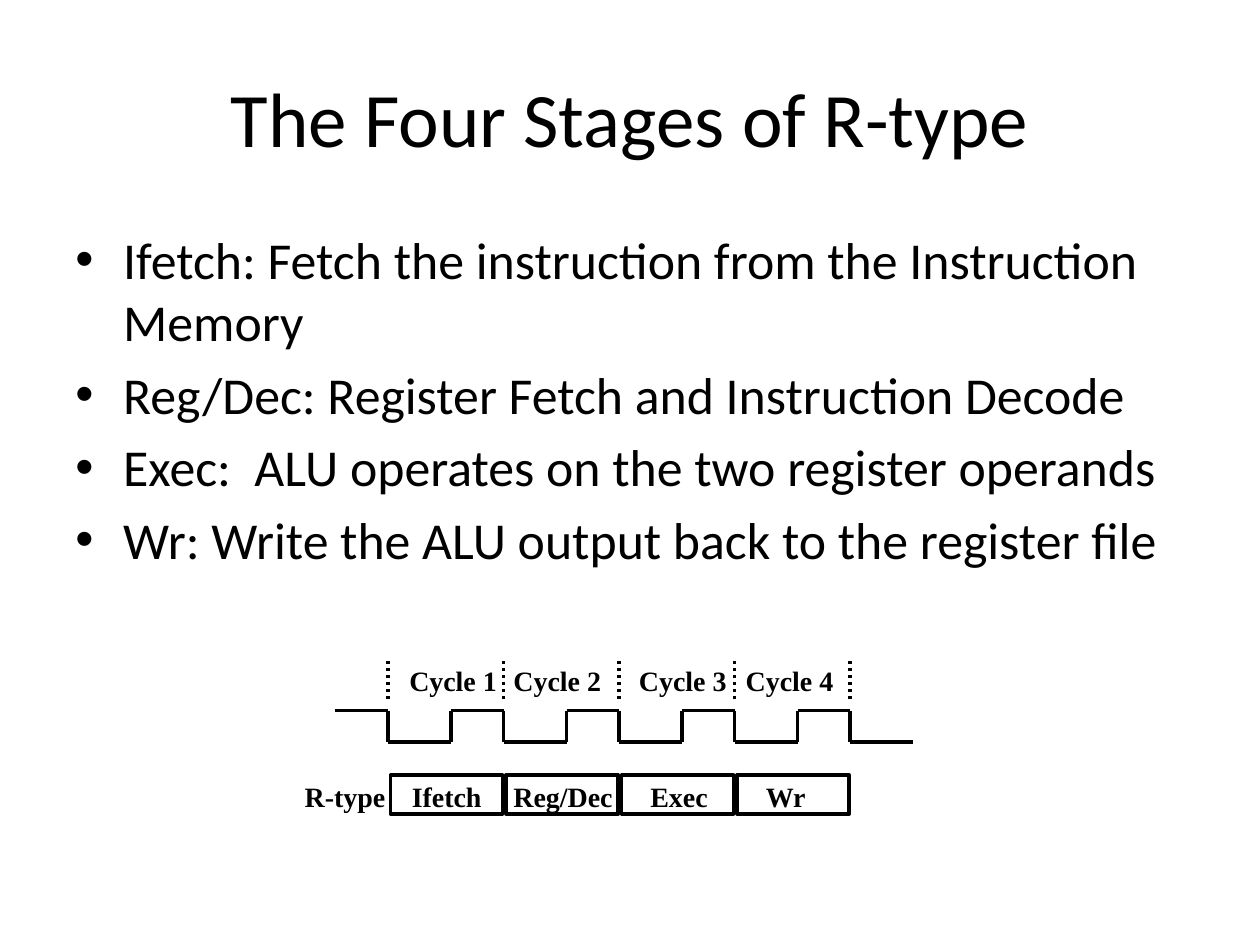
from lxml.etree import SubElement
from pptx import Presentation
from pptx.dml.color import RGBColor
from pptx.enum.dml import MSO_LINE
from pptx.enum.shapes import MSO_CONNECTOR, MSO_SHAPE
from pptx.enum.text import MSO_ANCHOR, MSO_AUTO_SIZE, PP_ALIGN
from pptx.oxml.ns import qn
from pptx.util import Inches, Pt

# Content
TITLE = "The Four Stages of R-type"
POINTS = [
    "Ifetch: Fetch the instruction from the Instruction Memory",
    "Reg/Dec: Register Fetch and Instruction Decode",
    "Exec:  ALU operates on the two register operands",
    "Wr: Write the ALU output back to the register file",
]
# Cycle label and its inset; stage name, its inset and its width
CYCLES = [
    ("Cycle 1", 0.07, "Ifetch", 0.09, 0.78),
    ("Cycle 2", -0.02, "Reg/Dec", -0.02, 1.02),
    ("Cycle 3", 0.06, "Exec", 0.15, 0.68),
    ("Cycle 4", -0.01, "Wr", 0.15, 0.55),
]
INK = "000000"

# Diagram grid: one column per clock cycle
LEFT, STEP, LOW_W, HIGH_W = 3.08, 11 / 12, 0.5, 0.42
TICK, TICK_END, HIGH, LOW = 5.22, 5.55, 5.64, 5.89
BOX_Y, NAME_Y, LABEL_H = 6.15, 6.14, 0.36

deck = Presentation()
deck.slide_width, deck.slide_height = Inches(10), Inches(7.5)
slide = deck.slides.add_slide(deck.slide_layouts[6])


def color(code):
    return RGBColor.from_string(code)


def add_text(items, x, y, w, h, size=16, font="Times New Roman", bold=True,
             align=PP_ALIGN.LEFT, anchor=MSO_ANCHOR.TOP, wrap=False,
             bullet=None, gap=0):
    box = slide.shapes.add_textbox(*map(Inches, (x, y, w, h)))
    frame = box.text_frame
    frame.word_wrap, frame.vertical_anchor = wrap, anchor
    if not wrap:
        frame.auto_size = MSO_AUTO_SIZE.SHAPE_TO_FIT_TEXT
    for i, item in enumerate(items):
        para = frame.paragraphs[0] if i == 0 else frame.add_paragraph()
        para.alignment = align
        para.space_before = Pt(gap if i else 0)
        run = para.add_run()
        run.text = item
        run.font.name, run.font.size, run.font.bold = font, Pt(size), bold
        run.font.color.rgb = color(INK)
        if bullet:
            props = para._p.get_or_add_pPr()
            props.set("marL", str(Inches(0.38)))
            props.set("indent", str(Inches(-0.38)))
            SubElement(props, qn("a:buFont"), typeface="Arial")
            SubElement(props, qn("a:buChar"), char=bullet)


def add_line(x1, y1, x2, y2, dash=None):
    line = slide.shapes.add_connector(
        MSO_CONNECTOR.STRAIGHT, *map(Inches, (x1, y1, x2, y2)))
    line.line.color.rgb, line.line.width = color(INK), Pt(2)
    if dash:
        line.line.dash_style = dash
    SubElement(line._element.spPr, qn("a:effectLst"))


def add_box(x, y, w, h):
    box = slide.shapes.add_shape(
        MSO_SHAPE.RECTANGLE, *map(Inches, (x, y, w, h)))
    box.shadow.inherit = False
    box.fill.background()
    box.line.color.rgb, box.line.width = color(INK), Pt(2)


# Title and bullets
add_text([TITLE], 0.5, 0.3, 9, 1.25, size=44, font="Calibri", bold=False,
         align=PP_ALIGN.CENTER, anchor=MSO_ANCHOR.MIDDLE, wrap=True)
add_text(POINTS, 0.5, 1.76, 9, 3.17, size=29.6, font="Calibri", bold=False,
         wrap=True, bullet="•", gap=5.9)

# Clock wave and cycle ticks
add_line(LEFT - HIGH_W, HIGH, LEFT, HIGH)
for i in range(len(CYCLES) + 1):
    x = LEFT + i * STEP
    rise = x + LOW_W
    add_line(x, TICK_END, x, TICK, dash=MSO_LINE.ROUND_DOT)
    add_line(x, HIGH, x, LOW)
    add_line(x, LOW, rise, LOW)
    if i < len(CYCLES):
        add_line(rise, LOW, rise, HIGH)
        add_line(rise, HIGH, x + STEP, HIGH)

# Cycle labels and stage boxes
for i, (cycle, shift, stage, inset, width) in enumerate(CYCLES):
    x = LEFT + i * STEP
    add_text([cycle], x + shift, TICK, 0.9, LABEL_H)
    add_box(x + 0.02, BOX_Y, 0.89, 0.31)
    add_text([stage], x + inset, NAME_Y, width, LABEL_H)
add_text(["R-type"], 2.32, NAME_Y, 0.84, LABEL_H)

deck.save("out.pptx")
